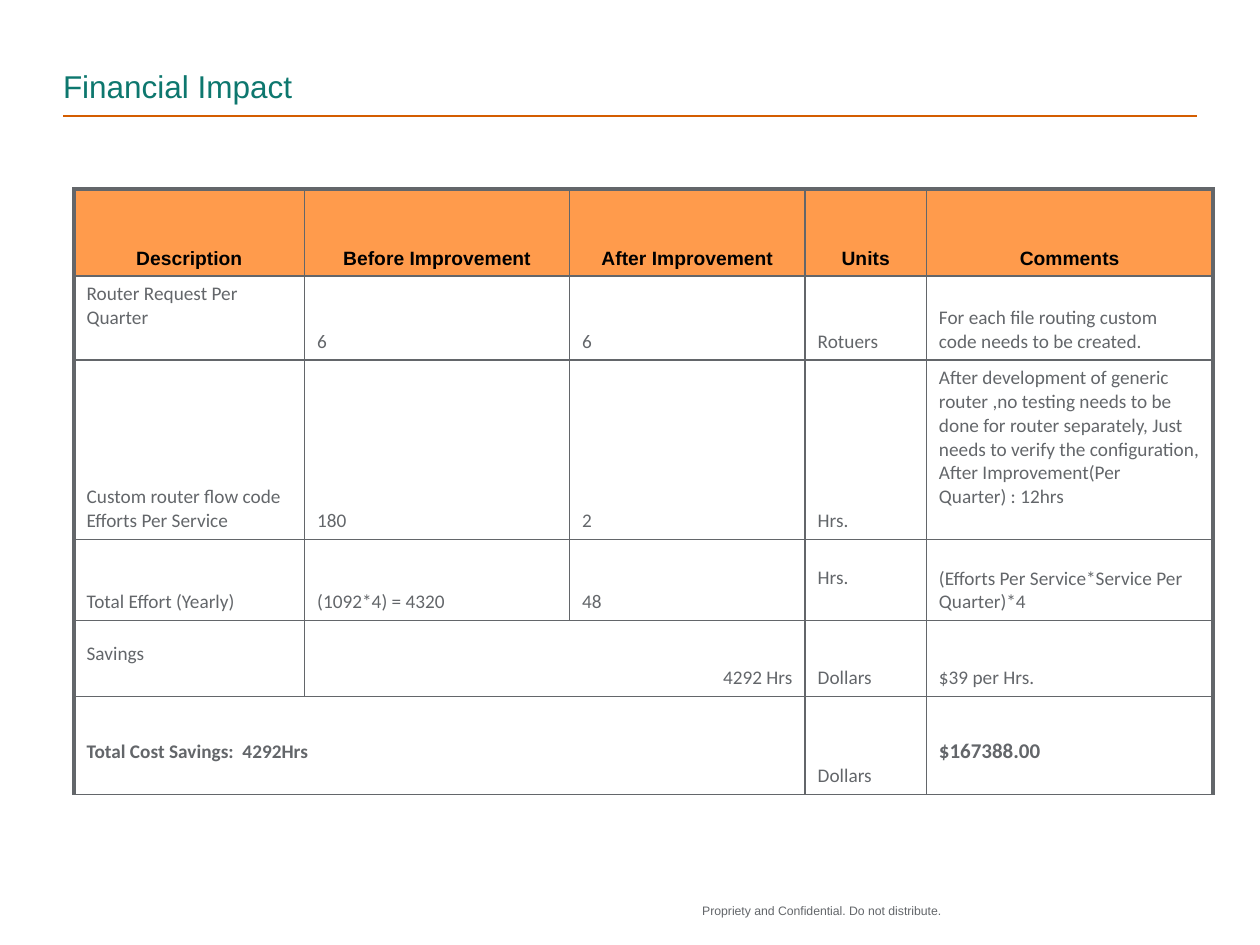
from lxml.etree import SubElement
from pptx import Presentation
from pptx.dml.color import RGBColor
from pptx.enum.shapes import MSO_CONNECTOR
from pptx.enum.text import MSO_ANCHOR, MSO_AUTO_SIZE, PP_ALIGN
from pptx.oxml import parse_xml
from pptx.oxml.ns import nsdecls, qn
from pptx.util import Pt

COLORS = {
    "title": "0D776E",
    "rule": "D45D00",
    "header": "FF9B4C",
    "black": "000000",
    "gray": "63666A",
}
COLUMN_WIDTHS = [131.8, 151.4, 134.6, 69.3, 163.8]
ROW_HEIGHTS = [49.7, 48, 102.2, 46.4, 43.4, 56]
ROWS = [
    ["Description", "Before Improvement", "After Improvement", "Units", "Comments"],
    ["Router Request Per Quarter", "6", "6", "Rotuers",
     "For each file routing custom code needs to be created."],
    ["Custom router flow code Efforts Per Service", "180", "2", "Hrs.",
     "After development of generic router ,no testing needs to be done for router "
     "separately, Just needs to verify the configuration,\n"
     "After Improvement(Per Quarter) : 12hrs"],
    ["Total Effort (Yearly)", "(1092*4) = 4320", "48", "Hrs.",
     "(Efforts Per Service*Service Per Quarter)*4"],
    ["Savings", "4292 Hrs", "", "Dollars", "$39 per Hrs."],
    ["Total Cost Savings:  4292Hrs", "", "", "Dollars", "$167388.00"],
]
MERGES = [((4, 1), (4, 2)), ((5, 0), (5, 2))]
RAISED_CELLS = {(1, 0), (2, 4), (3, 3), (4, 0), (5, 0), (5, 4)}
NARROW_CELLS = {(1, 4)}
BOLD_CELLS = {(5, 0), (5, 4)}
RIGHT_CELLS = {(4, 1)}
LARGE_CELLS = {(5, 4)}
SIDE_MARGIN = 7.2
NARROW_MARGIN = 14.4
CELL_MARGIN = 3.6
RAISED_MARGIN = 17.3


def rgb(name):
    return RGBColor.from_string(COLORS[name])


def style_paragraph(paragraph, font_name, size, color, bold=False, align=PP_ALIGN.LEFT):
    paragraph.alignment = align
    font = paragraph.font
    font.name, font.size, font.bold = font_name, Pt(size), bold
    font.color.rgb = rgb(color)


def clear_margins(frame):
    frame.margin_left = frame.margin_right = frame.margin_top = frame.margin_bottom = 0


def add_title(slide, left, top, width, height):
    title = slide.shapes.title
    title.left, title.top, title.width, title.height = map(Pt, (left, top, width, height))
    frame = title.text_frame
    frame.text = "Financial Impact"
    frame.auto_size = MSO_AUTO_SIZE.NONE
    frame.vertical_anchor = MSO_ANCHOR.BOTTOM
    clear_margins(frame)
    style_paragraph(frame.paragraphs[0], "Arial", 18, "title")

    rule_y = Pt(top + height + 6.2)
    rule = slide.shapes.add_connector(
        MSO_CONNECTOR.STRAIGHT, Pt(left), rule_y, Pt(left + width), rule_y)
    rule.line.width = Pt(1)
    rule.line.fill.solid()
    rule.line.fill.fore_color.rgb = rgb("rule")
    SubElement(rule._element.spPr, qn("a:effectLst"))
    rule._element.remove(rule._element.find(qn("p:style")))


def set_borders(cell, widths):
    properties = cell._tc.get_or_add_tcPr()
    for index, (side, width) in enumerate(widths.items()):
        properties.insert(index, parse_xml(
            f'<a:ln{side} {nsdecls("a")} w="{Pt(width)}"><a:solidFill>'
            f'<a:srgbClr val="{COLORS["gray"]}"/></a:solidFill></a:ln{side}>'))


def format_cell(cell, row, column):
    position = (row, column)
    cell.vertical_anchor = MSO_ANCHOR.BOTTOM
    cell.margin_left = Pt(SIDE_MARGIN)
    cell.margin_right = Pt(NARROW_MARGIN if position in NARROW_CELLS else SIDE_MARGIN)
    cell.margin_top = Pt(CELL_MARGIN)
    cell.margin_bottom = Pt(RAISED_MARGIN if position in RAISED_CELLS else CELL_MARGIN)
    if row == 0:
        cell.fill.solid()
        cell.fill.fore_color.rgb = rgb("header")
    else:
        cell.fill.background()
    for paragraph in cell.text_frame.paragraphs:
        if row == 0:
            style_paragraph(paragraph, "Arial", 11, "black", True, PP_ALIGN.CENTER)
            paragraph.line_spacing = 0.95
        else:
            style_paragraph(
                paragraph, "Calibri", 12 if position in LARGE_CELLS else 11, "gray",
                position in BOLD_CELLS,
                PP_ALIGN.RIGHT if position in RIGHT_CELLS else PP_ALIGN.LEFT)
    set_borders(cell, {
        "L": 2.25 if column == 0 else 1,
        "R": 2.25 if column == len(COLUMN_WIDTHS) - 1 else 1,
        "T": 2.25 if row == 0 else 1,
        "B": 1,
    })


def add_impact_table(slide, left, top):
    table = slide.shapes.add_table(
        len(ROW_HEIGHTS), len(COLUMN_WIDTHS), Pt(left), Pt(top),
        Pt(sum(COLUMN_WIDTHS)), Pt(sum(ROW_HEIGHTS))).table
    table.first_row = table.horz_banding = False
    for column, width in zip(table.columns, COLUMN_WIDTHS):
        column.width = Pt(width)
    for row, height in zip(table.rows, ROW_HEIGHTS):
        row.height = Pt(height)
    for row, texts in enumerate(ROWS):
        for column, text in enumerate(texts):
            cell = table.cell(row, column)
            cell.text = text
            format_cell(cell, row, column)
    for first, last in MERGES:
        table.cell(*first).merge(table.cell(*last))


def add_footer(slide, left, top, width, height):
    footer = slide.shapes.add_textbox(Pt(left), Pt(top), Pt(width), Pt(height))
    frame = footer.text_frame
    frame.word_wrap = False
    clear_margins(frame)
    frame.text = "Propriety and Confidential. Do not distribute."
    style_paragraph(frame.paragraphs[0], "Arial", 7, "gray")


def main():
    presentation = Presentation()
    presentation.slide_width, presentation.slide_height = Pt(720), Pt(540)
    slide = presentation.slides.add_slide(presentation.slide_layouts[5])
    add_title(slide, 36, 12, 648, 48)
    add_impact_table(slide, 42.3, 108)
    add_footer(slide, 401.3, 516, 150, 18)
    presentation.save("out.pptx")


if __name__ == "__main__":
    main()
